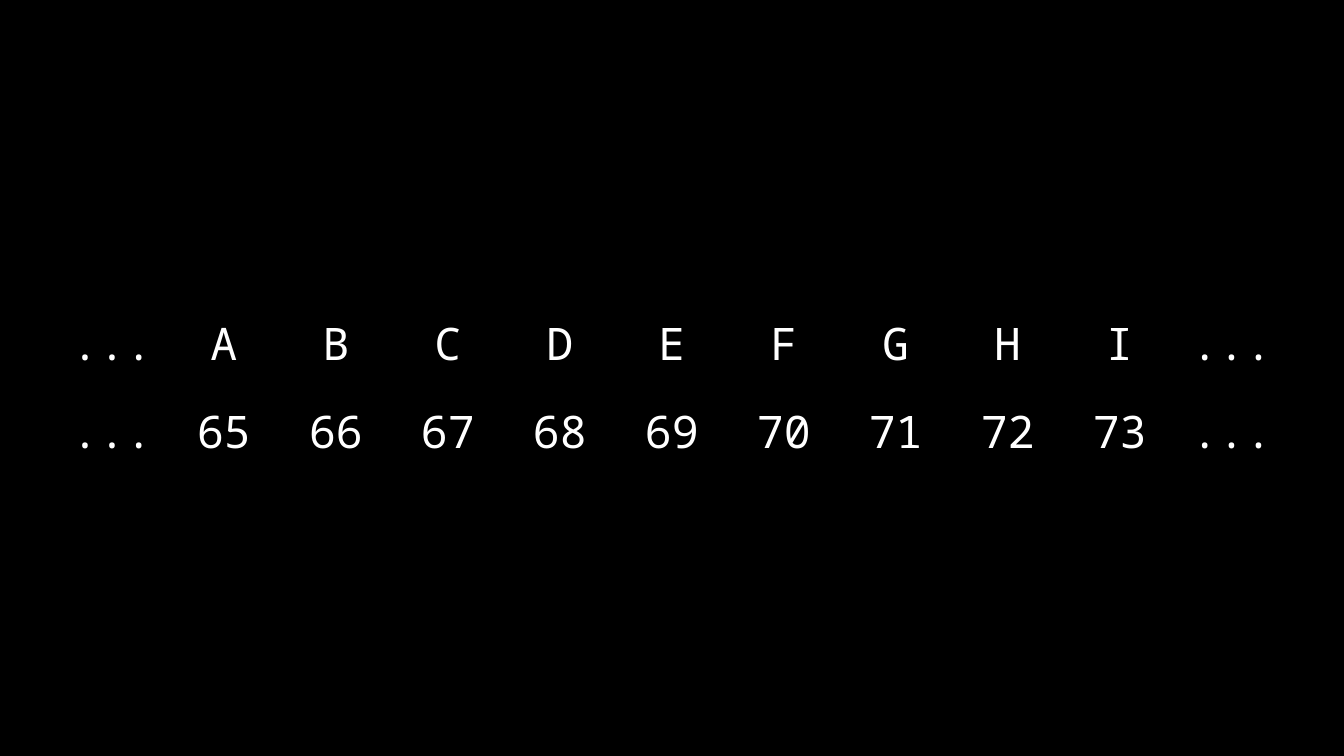
"""Build a slide with a table of letters and their character codes."""
import lxml.etree
import pptx
import pptx.dml.color
import pptx.enum.text
import pptx.oxml.ns
import pptx.util

BLACK = pptx.dml.color.RGBColor(0, 0, 0)
WHITE = pptx.dml.color.RGBColor(255, 255, 255)
LETTERS = "ABCDEFGHI"
ROWS = [
    ["...", *LETTERS, "..."],
    ["...", *(str(ord(letter)) for letter in LETTERS), "..."],
]
COLUMN_COUNT = len(ROWS[0])
COLUMN_WIDTH = 60
ROW_HEIGHT = 30
FONT_FORMAT = {"name": "Noto Sans Mono", "size": pptx.util.Pt(24), "bold": False}
MARGIN_FORMAT = {
    f"margin_{side}": pptx.util.Pt(7.2) for side in ("left", "right", "top", "bottom")
}

presentation = pptx.Presentation()
presentation.slide_width = pptx.util.Pt(720)
presentation.slide_height = pptx.util.Pt(405)
slide = presentation.slides.add_slide(presentation.slide_layouts[6])
slide.background.fill.solid()
slide.background.fill.fore_color.rgb = BLACK

table_frame = slide.shapes.add_table(
    len(ROWS),
    COLUMN_COUNT,
    pptx.util.Pt(30),
    pptx.util.Pt(160),
    pptx.util.Pt(COLUMN_WIDTH * COLUMN_COUNT),
    pptx.util.Pt(ROW_HEIGHT * len(ROWS)),
)
table = table_frame.table
table.first_row = False
table.horz_banding = False

for row_index, row in enumerate(ROWS):
    for column_index, text in enumerate(row):
        cell = table.cell(row_index, column_index)
        for name, value in MARGIN_FORMAT.items():
            setattr(cell, name, value)
        properties = cell._tc.get_or_add_tcPr()
        for border in ("a:lnL", "a:lnR", "a:lnT", "a:lnB"):
            line = lxml.etree.SubElement(properties, pptx.oxml.ns.qn(border))
            lxml.etree.SubElement(line, pptx.oxml.ns.qn("a:noFill"))
        cell.fill.background()
        paragraph = cell.text_frame.paragraphs[0]
        paragraph.alignment = pptx.enum.text.PP_ALIGN.CENTER
        run = paragraph.add_run()
        run.text = text
        for name, value in FONT_FORMAT.items():
            setattr(run.font, name, value)
        run.font.color.rgb = WHITE

table_frame.height = pptx.util.Pt(86.4)
presentation.save("out.pptx")
